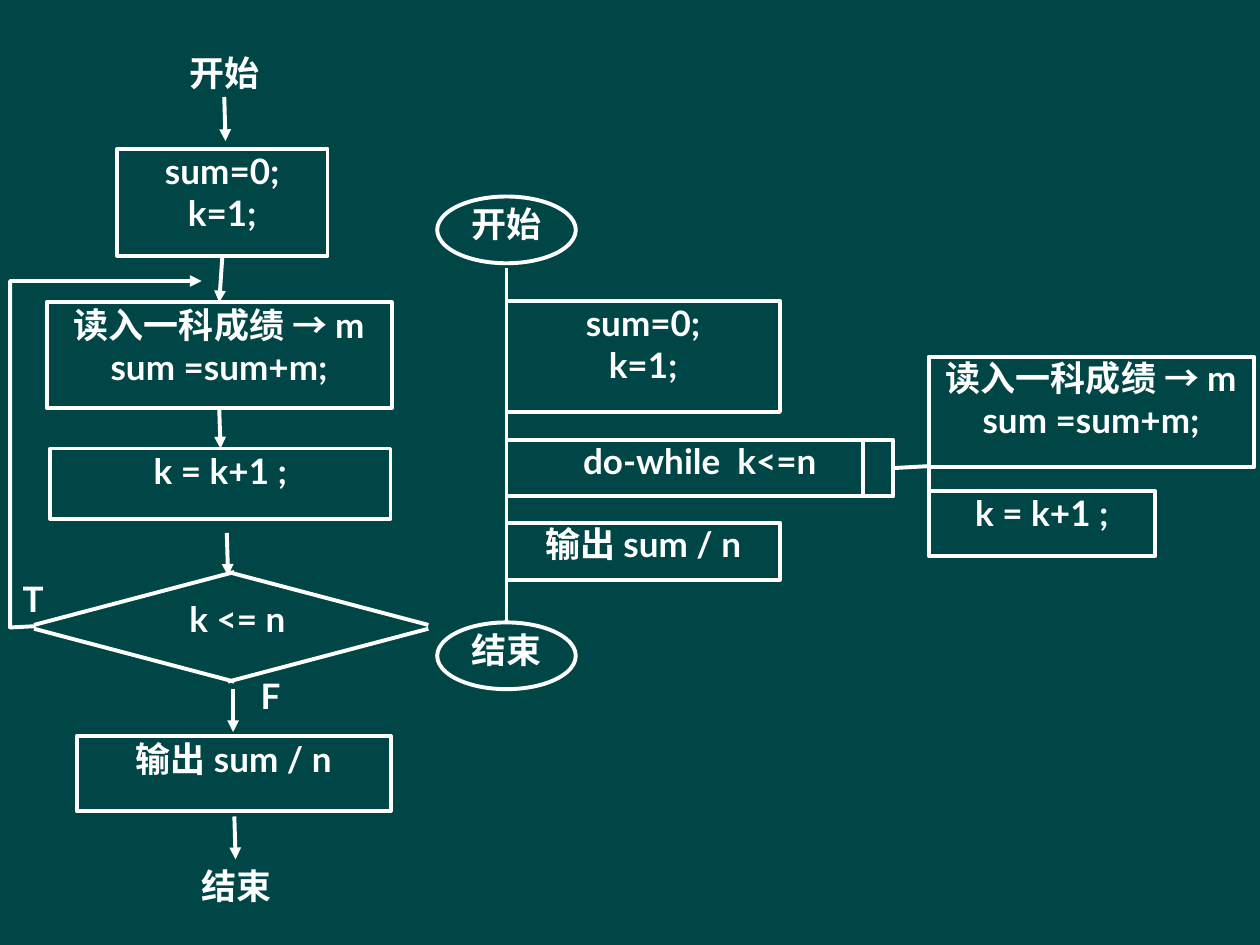
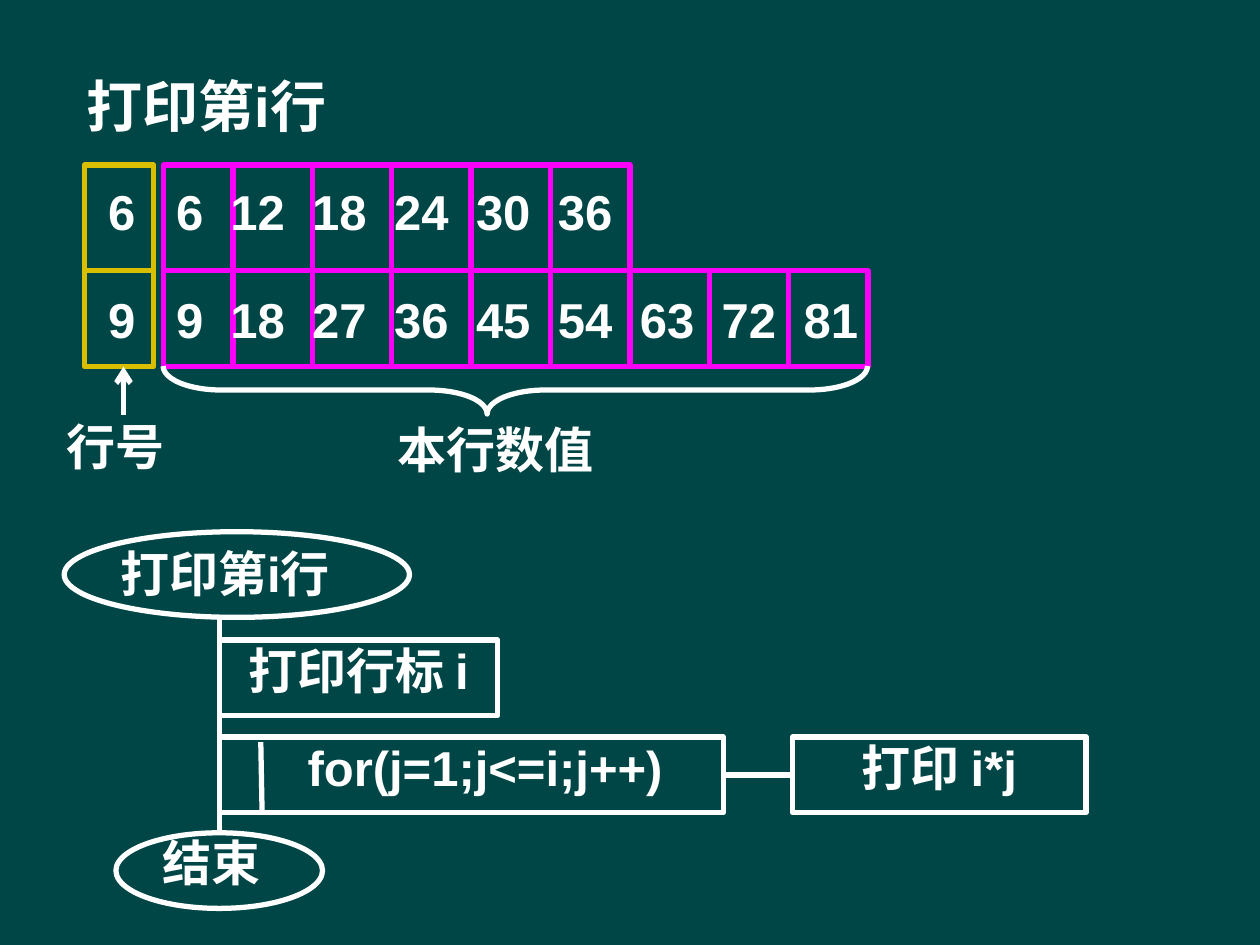
"""Build two slides that set flow charts beside problem analysis diagrams."""

from dataclasses import dataclass
from itertools import product
from typing import Optional

from lxml.etree import SubElement
from pptx import Presentation
from pptx.dml.color import RGBColor
from pptx.enum.shapes import MSO_CONNECTOR, MSO_SHAPE
from pptx.enum.text import MSO_ANCHOR, PP_ALIGN as Align
from pptx.oxml.ns import qn
from pptx.util import Inches, Pt

TEAL = RGBColor(0x00, 0x46, 0x46)
WHITE = RGBColor(0xFF, 0xFF, 0xFF)
GOLD = RGBColor(0xD9, 0xBE, 0x02)
MAGENTA = RGBColor(0xF9, 0x00, 0xF9)

RECTANGLE = MSO_SHAPE.RECTANGLE
OVAL = MSO_SHAPE.OVAL
TOP, LEFT, BOTTOM, RIGHT = range(4)

INITIALISE = "sum=0;\nk=1;"
READ_SCORE = "读入一科成绩 → m\nsum =sum+m;"
INCREMENT = "k = k+1 ;"
PRINT_MEAN = "输出 sum / n"
PRINT_ROW = "打印第i行"
START, FINISH = "开始", "结束"


@dataclass(frozen=True)
class Style:
    """Typeface, text size and line width of one slide."""

    font: str
    size: float
    line_width: float


@dataclass(frozen=True)
class Box:
    """An outlined shape, or a plain label when it has no kind."""

    left: float
    top: float
    width: float
    height: float
    text: str = ""
    kind: Optional[MSO_SHAPE] = RECTANGLE
    color: RGBColor = WHITE
    align: Align = Align.CENTER
    inset: tuple[float, float] = (0, 0)
    indent: float = 0
    size: Optional[float] = None
    line_spacing: Optional[float] = None
    tabs: tuple[float, ...] = ()
    name: str = ""


@dataclass(frozen=True)
class Link:
    """A straight line whose ends may be joined to (box name, side)."""

    x1: float
    y1: float
    x2: float
    y2: float
    head: str = ""
    begin: Optional[tuple[str, int]] = None
    end: Optional[tuple[str, int]] = None


def set_line(shape, style: Style, color: RGBColor = WHITE, head: str = "") -> None:
    """Give a shape or connector its line and an optional arrowhead."""
    shape.line.color.rgb = color
    shape.line.width = Pt(style.line_width)
    if head:
        SubElement(shape.line._get_or_add_ln(), qn("a:tailEnd"), type=head)


def outline(shape, style: Style, color: RGBColor = WHITE, head: str = "") -> None:
    """Leave only the outline of a shape visible."""
    shape.shadow.inherit = False
    shape.fill.background()
    set_line(shape, style, color, head)


def write_text(shape, box: Box, style: Style) -> None:
    """Write and format the text of a box."""
    frame = shape.text_frame
    frame.word_wrap = True
    frame.vertical_anchor = MSO_ANCHOR.TOP
    frame.margin_left = Inches(box.inset[0] + box.indent)
    frame.margin_right = Inches(box.inset[0])
    frame.margin_top = frame.margin_bottom = Inches(box.inset[1])
    frame.text = box.text
    for paragraph in frame.paragraphs:
        paragraph.alignment = box.align
        if box.line_spacing:
            paragraph.line_spacing = box.line_spacing
        if box.tabs:
            tab_list = SubElement(paragraph._p.get_or_add_pPr(), qn("a:tabLst"))
            for stop in box.tabs:
                SubElement(tab_list, qn("a:tab"), pos=str(Inches(stop)), algn="l")
        paragraph.font.name = style.font
        paragraph.font.size = Pt(box.size or style.size)
        paragraph.font.bold = True
        paragraph.font.color.rgb = WHITE


def draw_box(slide, box: Box, style: Style):
    """Draw one box or label."""
    area = [Inches(value) for value in (box.left, box.top, box.width, box.height)]
    if box.kind is None:
        shape = slide.shapes.add_textbox(*area)
    else:
        shape = slide.shapes.add_shape(box.kind, *area)
        outline(shape, style, box.color)
    if box.text:
        write_text(shape, box, style)
    return shape


def draw_link(slide, link: Link, style: Style, named: dict) -> None:
    """Draw one line and join its ends to the named boxes."""
    ends = [Inches(value) for value in (link.x1, link.y1, link.x2, link.y2)]
    connector = slide.shapes.add_connector(MSO_CONNECTOR.STRAIGHT, *ends)
    if link.begin:
        connector.begin_connect(named[link.begin[0]], link.begin[1])
    if link.end:
        connector.end_connect(named[link.end[0]], link.end[1])
    set_line(connector, style, head=link.head)
    SubElement(connector._element.spPr, qn("a:effectLst"))


def draw_diagram(slide, boxes: list[Box], links: list[Link], style: Style) -> None:
    """Draw the boxes of a slide, then the lines between them."""
    named = {}
    for box in boxes:
        shape = draw_box(slide, box, style)
        if box.name:
            named[box.name] = shape
    for link in links:
        draw_link(slide, link, style, named)


def add_slide(presentation):
    """Add a blank slide with the teal background."""
    slide = presentation.slides.add_slide(presentation.slide_layouts[6])
    slide.background.fill.solid()
    slide.background.fill.fore_color.rgb = TEAL
    return slide


def add_loop_slide(presentation) -> None:
    """Show the score loop as a flow chart and as an analysis diagram."""
    slide = add_slide(presentation)
    style = Style("Lato", 20, 2.25)
    spine, branch = 4.02, 7.37
    thin = (0.01, 0.01)
    boxes = [
        Box(spine, 3.49, 3.07, 0.45, "do-while  k<=n", name="loop"),
        Box(spine, 2.39, 2.17, 0.88, INITIALISE),
        Box(branch, 2.83, 2.58, 0.88, READ_SCORE),
        Box(branch, 3.9, 1.8, 0.51, INCREMENT),
        Box(spine, 4.15, 2.17, 0.45, PRINT_MEAN),
        Box(0.93, 1.18, 1.67, 0.85, INITIALISE, inset=thin, name="initialise"),
        Box(0.37, 2.4, 2.74, 0.84, READ_SCORE, inset=thin, name="read"),
        Box(0.4, 3.56, 2.7, 0.56, INCREMENT, inset=thin, name="increment"),
        Box(0.61, 5.84, 2.49, 0.6, PRINT_MEAN, inset=thin),
        Box(1.1, 0.4, 1.36, 0.48, START, None, inset=thin),
        Box(0.62, 4.73, 2.53, 0.48, "k <= n", None, inset=thin),
        Box(0.81, 6.85, 2.13, 0.44, FINISH, None, inset=thin),
        Box(2.06, 5.34, 0.46, 0.69, "F", None, align=Align.JUSTIFY, inset=thin),
        Box(0.17, 4.57, 0.46, 0.62, "T", None, align=Align.JUSTIFY, inset=thin),
    ]
    for top, text in ((1.56, START), (4.94, FINISH)):
        boxes += [
            Box(spine - 0.55, top, 1.1, 0.53, kind=OVAL),
            Box(spine - 0.74, top + 0.05, 1.48, 0.48, text, None),
        ]
    links = [
        Link(spine, 2.13, spine, 4.95),
        Link(6.85, 3.49, 6.85, 3.95),
        Link(7.12, 3.7, 7.36, 3.7, begin=("loop", RIGHT)),
        Link(branch, 3.36, branch, 4.27),
        Link(1.78, 0.77, 1.79, 1.12, "triangle"),
        Link(1.76, 2.05, 1.76, 2.39, "triangle", ("initialise", BOTTOM), ("read", TOP)),
        Link(1.79, 3.24, 1.79, 3.58, "triangle", ("read", BOTTOM), ("increment", TOP)),
        Link(1.8, 4.23, 1.81, 4.57, "triangle"),
        Link(1.85, 5.47, 1.85, 5.81, "triangle"),
        Link(1.86, 6.48, 1.87, 6.82, "triangle"),
    ]
    corners = ((0.27, 1.86), (3.4, 1.81))
    slopes = ((4.96, 4.54), (4.99, 5.41))
    for (side, tip), (middle, end) in product(corners, slopes):
        links.append(Link(side, middle, tip, end))
    draw_diagram(slide, boxes, links, style)

    loop_back = [(0.28, 4.97), (0.08, 4.98), (0.08, 2.23), (1.6, 2.23)]
    points = [(Inches(x), Inches(y)) for x, y in loop_back]
    builder = slide.shapes.build_freeform(*points[0])
    builder.add_line_segments(points[1:], close=False)
    outline(builder.convert_to_shape(), style, head="triangle")


def add_row_slide(presentation) -> None:
    """Show two rows of the multiplication table and the row algorithm."""
    slide = add_slide(presentation)
    style = Style("Arial", 28, 3)
    padding = (0.1, 0.05)
    spine = 1.74
    tabs = (0.54, *(round(0.97 + 0.65 * step, 2) for step in range(8)))

    boxes = [
        Box(0.59, 0.52, 3.23, 0.64, PRINT_ROW, None, align=Align.LEFT,
            inset=padding, size=32),
    ]
    for row, top, height, text_top in ((6, 1.31, 0.84, 1.39), (9, 2.15, 0.76, 2.25)):
        boxes.append(Box(0.67, top, 0.55, height, color=GOLD))
        for column in range(row):
            left = 1.85 + 0.63 * (column - 1) if column else 1.3
            width = 0.63 if column else 0.55
            boxes.append(Box(left, top, width, height, color=MAGENTA))
        numbers = [row, *(row * factor for factor in range(1, row + 1))]
        boxes.append(Box(0.76, text_top, 6.3, 0.57, "\t".join(map(str, numbers)),
                         None, align=Align.LEFT, inset=padding, tabs=tabs))
    boxes += [
        Box(0.43, 3.29, 1.1, 0.55, "行号", None, align=Align.LEFT,
            inset=padding, line_spacing=0.95),
        Box(2.95, 3.28, 1.97, 0.57, "本行数值", None, inset=padding),
        Box(0.51, 4.22, 2.74, 0.68, kind=OVAL),
        Box(0.64, 4.31, 2.29, 0.43, PRINT_ROW, None),
        Box(0.92, 6.61, 1.64, 0.6, kind=OVAL),
        Box(1.08, 6.61, 1.19, 0.48, FINISH, None),
        Box(spine, 5.08, 2.21, 0.6, "打印行标 i"),
        Box(spine, 5.85, 4, 0.6, "for(j=1;j<=i;j++)", indent=0.22, name="loop"),
        Box(6.29, 5.85, 2.33, 0.6, "打印 i*j", name="product"),
    ]
    links = [
        Link(0.98, 3.29, 0.98, 2.91, "arrow"),
        Link(spine, 4.91, spine, 6.61),
        Link(2.07, 5.89, 2.08, 6.44),
        Link(5.74, 6.15, 6.29, 6.15, begin=("loop", RIGHT), end=("product", LEFT)),
    ]
    draw_diagram(slide, boxes, links, style)

    brace = draw_box(slide, Box(3.9, 0.3, 0.38, 5.59, kind=MSO_SHAPE.LEFT_BRACE), style)
    brace.rotation = 270
    brace.adjustments[0] = 1.21
    brace.adjustments[1] = 0.46


def main() -> None:
    """Build and save the presentation."""
    presentation = Presentation()
    presentation.slide_width = Inches(10)
    presentation.slide_height = Inches(7.5)
    add_loop_slide(presentation)
    add_row_slide(presentation)
    presentation.save("out.pptx")


if __name__ == "__main__":
    main()
